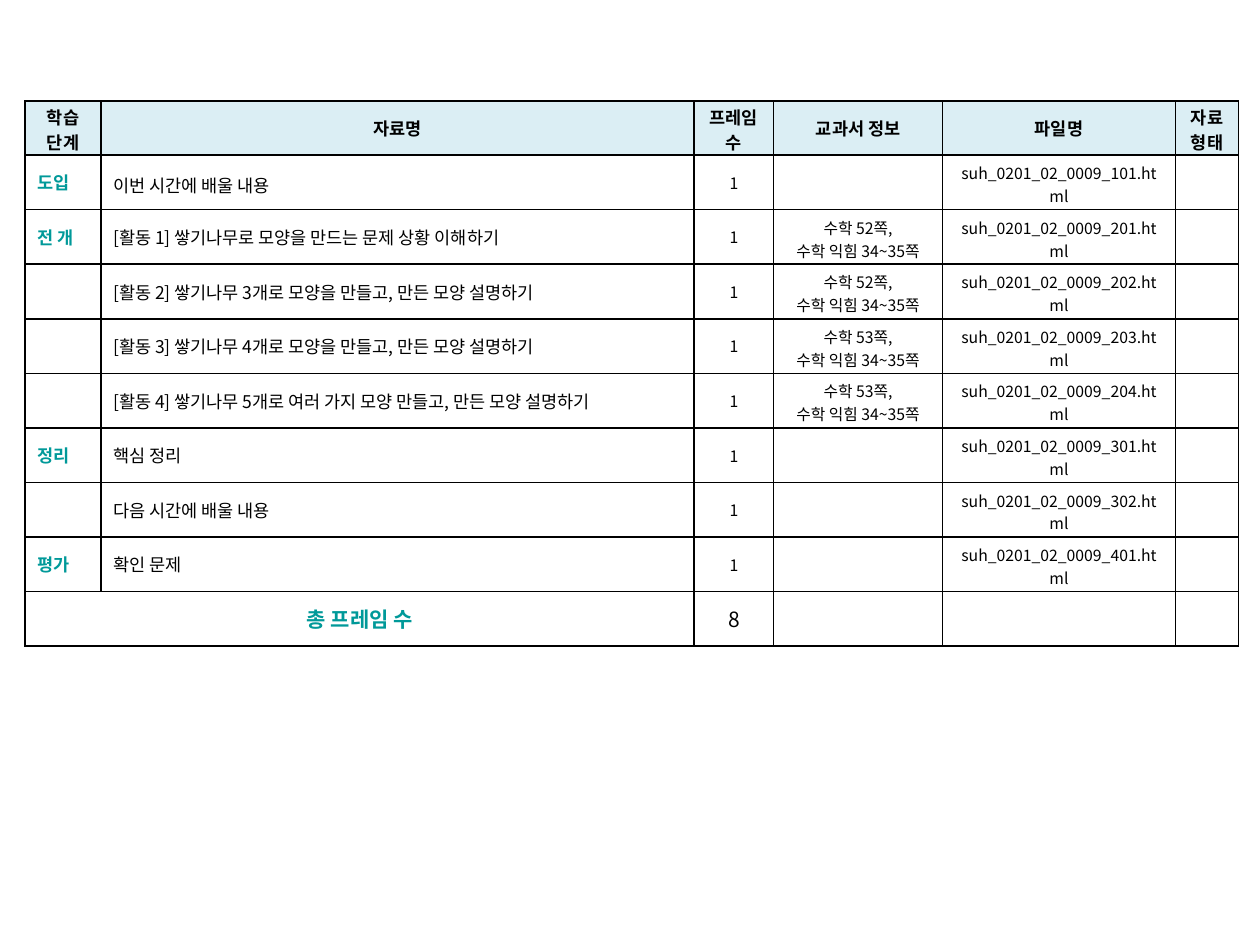
import pptx
import pptx.util
import pptx.dml.color
import pptx.enum.text
import pptx.oxml.ns
from lxml import etree

Inches = pptx.util.Inches
ALIGN = pptx.enum.text.PP_ALIGN
FONT = "Noto Sans CJK KR"
COLORS = {"text": "000000", "stage": "009999", "header": "DBEEF4", "border": "000000"}
COLUMN_WIDTHS = [0.6, 4.71, 0.63, 1.34, 1.85, 0.5]
ROW_HEIGHT = 0.431
HEADINGS = ["학습 단계", "자료명", "프레임 수", "교과서 정보", "파일명", "자료\n형태"]
TWO_LINE_HEADINGS = {"학습 단계", "프레임 수", "자료\n형태"}
LESSONS = [
    ("도입", "이번 시간에 배울 내용", None, 101),
    ("전 개", "[활동 1] 쌓기나무로 모양을 만드는 문제 상황 이해하기", 52, 201),
    ("", "[활동 2] 쌓기나무 3개로 모양을 만들고, 만든 모양 설명하기", 52, 202),
    ("", "[활동 3] 쌓기나무 4개로 모양을 만들고, 만든 모양 설명하기", 53, 203),
    ("", "[활동 4] 쌓기나무 5개로 여러 가지 모양 만들고, 만든 모양 설명하기", 53, 204),
    ("정리", "핵심 정리", None, 301),
    ("", "다음 시간에 배울 내용", None, 302),
    ("평가", "확인 문제", None, 401),
]


def add_child(parent, tag, **attributes):
    """Append a DrawingML element and return it."""
    return etree.SubElement(parent, pptx.oxml.ns.qn(tag), **attributes)


def write_text(cell, text, size=9, color="text", bold=False, align=ALIGN.CENTER,
               spacing=None, margins=(0.05, 0.05), kerning=0):
    """Fill a cell with formatted paragraphs, one for each line of text."""
    cell.margin_top, cell.margin_bottom = map(Inches, margins)
    cell.text_frame.text = text
    for paragraph in cell.text_frame.paragraphs:
        paragraph.alignment = align
        if spacing:
            paragraph.line_spacing = spacing
        for run in paragraph.runs:
            run.font.size = pptx.util.Pt(size)
            run.font.bold = bold
            run.font.color.rgb = pptx.dml.color.RGBColor.from_string(COLORS[color])
            run.font.name = FONT
            run.font._element.set("kern", str(kerning))
            add_child(run.font._element, "a:ea", typeface=FONT)
        if not paragraph.runs:
            add_child(paragraph._p, "a:endParaRPr", sz=str(size * 100))


def style_cell(cell, fill=None):
    """Set the anchor, borders and fill of a cell."""
    cell.vertical_anchor = pptx.enum.text.MSO_ANCHOR.MIDDLE
    properties = cell._tc.get_or_add_tcPr()
    for side in ("a:lnL", "a:lnR", "a:lnT", "a:lnB"):
        border = add_child(properties, side, w=str(pptx.util.Pt(1)))
        add_child(add_child(border, "a:solidFill"), "a:srgbClr", val=COLORS["border"])
    if fill:
        cell.fill.solid()
        cell.fill.fore_color.rgb = pptx.dml.color.RGBColor.from_string(COLORS[fill])
    else:
        cell.fill.background()


def add_lesson_table(slide):
    """Add the empty lesson table with its column widths and cell styles."""
    row_count = len(LESSONS) + 2
    table = slide.shapes.add_table(
        row_count, len(COLUMN_WIDTHS), Inches(0.2), Inches(0.8),
        Inches(sum(COLUMN_WIDTHS)), Inches(ROW_HEIGHT * row_count)).table
    table.first_row = table.horz_banding = False
    for column, width in zip(table.columns, COLUMN_WIDTHS):
        column.width = Inches(width)
    for index, row in enumerate(table.rows):
        for cell in row.cells:
            style_cell(cell, fill=None if index else "header")
    return table


def write_lesson(cells, stage, title, page, file_number):
    """Write one lesson row."""
    textbook = f"수학 {page}쪽,\n수학 익힘 34~35쪽" if page else ""
    is_intro = file_number == 101
    write_text(cells[0], stage, size=10, color="stage", bold=True, align=ALIGN.JUSTIFY)
    write_text(cells[1], title, size=10, align=ALIGN.JUSTIFY if is_intro else ALIGN.LEFT,
               spacing=1.2 if is_intro else None)
    write_text(cells[2], "1")
    write_text(cells[3], textbook, margins=(0.05, 0.02))
    write_text(cells[4], f"suh_0201_02_0009_{file_number}.html", margins=(0.05, 0.02))
    write_text(cells[5], "")


def write_total(cells):
    """Write the total row with its label across two columns."""
    cells[0].merge(cells[1])
    write_text(cells[0], "총 프레임 수", size=12, color="stage", bold=True)
    write_text(cells[2], str(len(LESSONS)), size=12)
    for cell in cells[3:]:
        write_text(cell, "")


def main():
    """Build the slide and save it."""
    presentation = pptx.Presentation()
    presentation.slide_width, presentation.slide_height = Inches(10), Inches(7.5)
    slide = presentation.slides.add_slide(presentation.slide_layouts[6])
    rows = [list(row.cells) for row in add_lesson_table(slide).rows]
    for cell, heading in zip(rows[0], HEADINGS):
        margins = (0.03, 0) if heading in TWO_LINE_HEADINGS else (0.05, 0.05)
        write_text(cell, heading, size=10, bold=True, margins=margins)
    for cells, lesson in zip(rows[1:], LESSONS):
        write_lesson(cells, *lesson)
    write_total(rows[-1])
    presentation.save("out.pptx")


if __name__ == "__main__":
    main()
